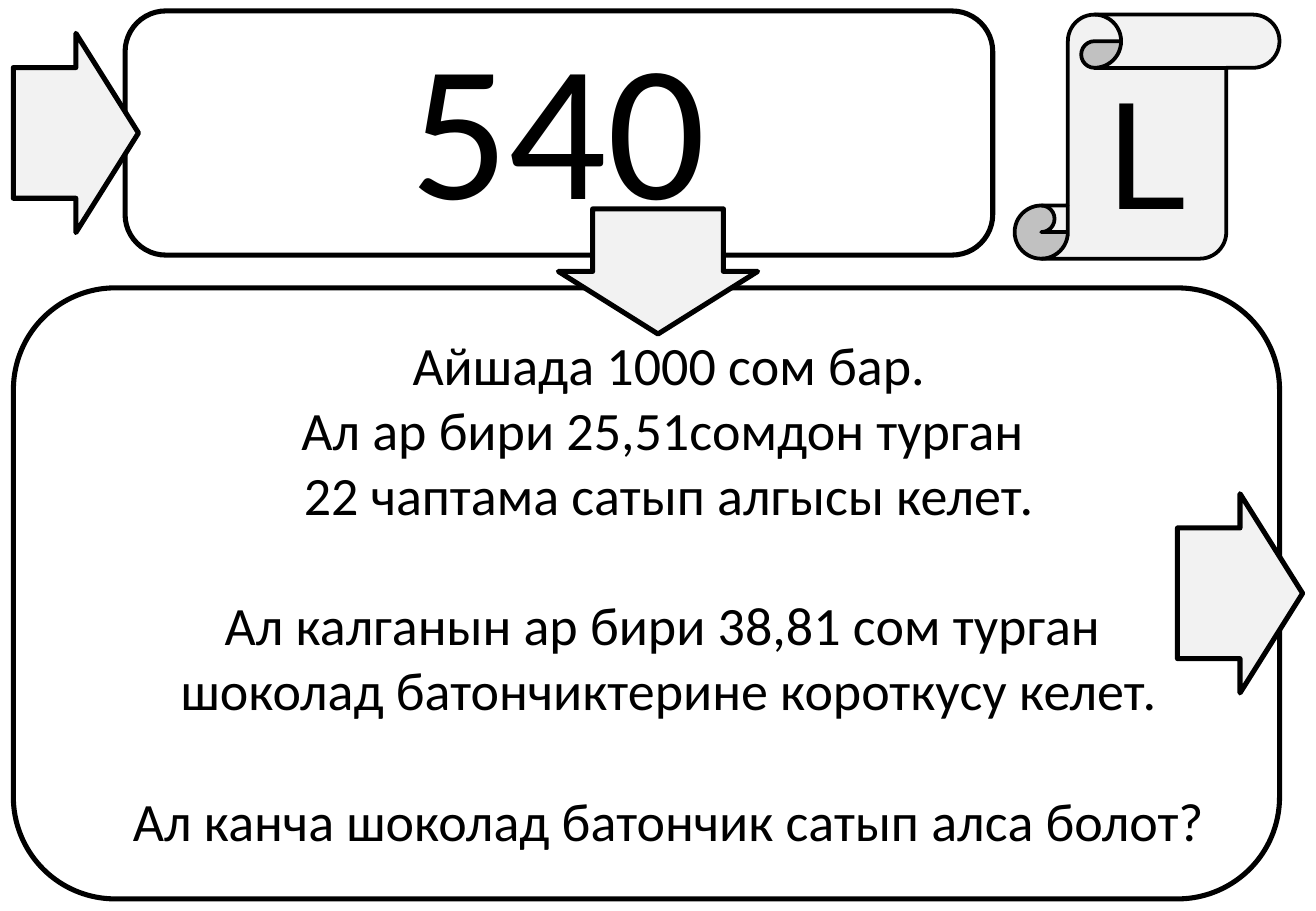
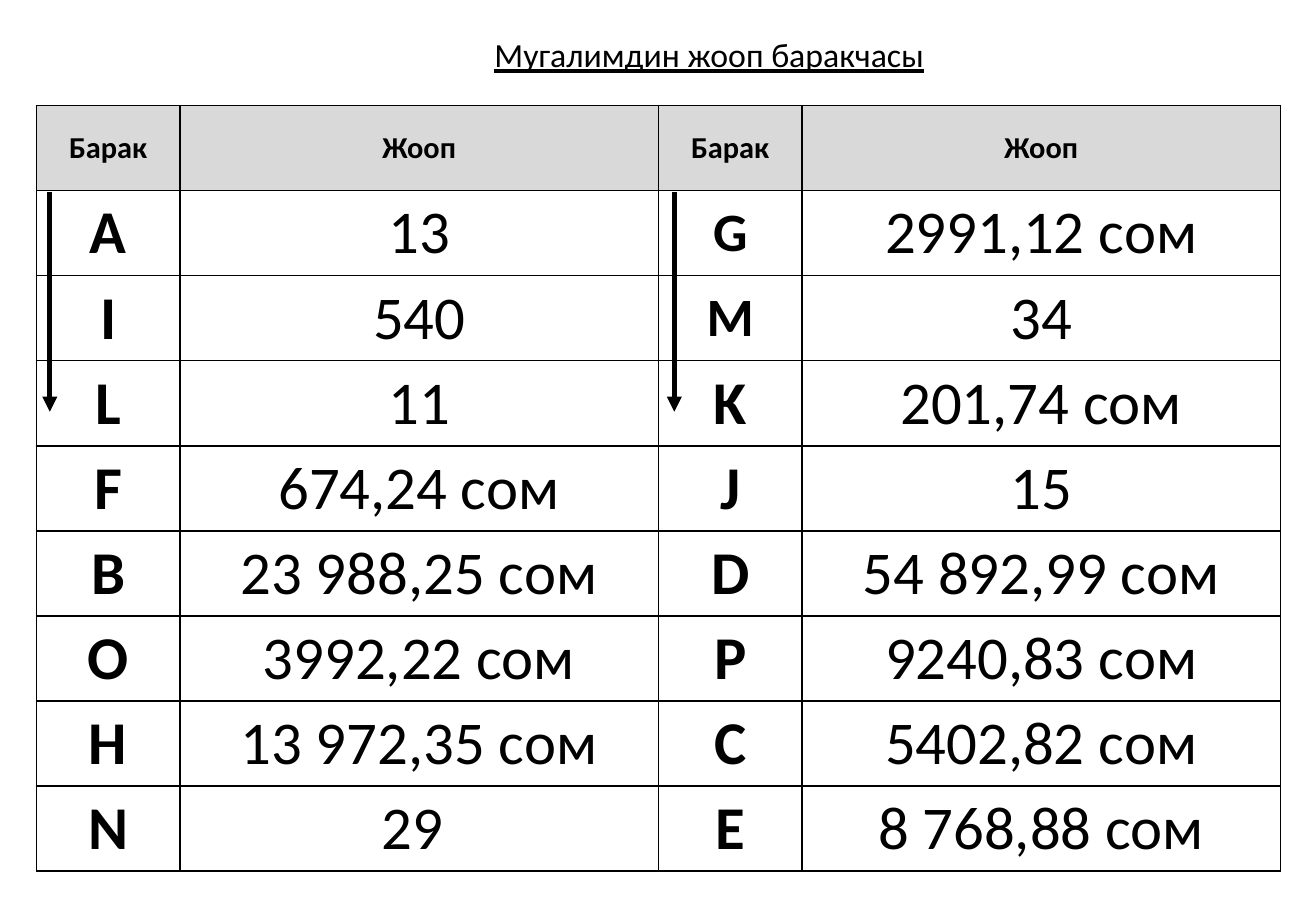
from dataclasses import dataclass

from lxml.etree import SubElement
from pptx import Presentation
from pptx.dml.color import RGBColor
from pptx.enum.shapes import MSO_CONNECTOR as Connector, MSO_SHAPE as Preset
from pptx.enum.text import MSO_ANCHOR as Anchor, MSO_AUTO_SIZE as AutoSize, PP_ALIGN as Align
from pptx.oxml.ns import qn
from pptx.util import Inches, Pt

COLORS = {"ink": "000000", "paper": "FFFFFF", "accent": "F2F2F2", "header": "D9D9D9"}
BODY_FONT = "Calibri"
SCROLL_FONT = "Roboto"
OUTLINE = 3
ARROW_SIZE = (9.51, 21.87)
COLUMN_SHARES = (11.52, 38.48, 11.52, 38.48)
PARAGRAPH_GAP = Pt(39)

QUESTION = [
    ("Айшада 1000 сом бар.", 0),
    ("Ал ар бири 25,51сомдон турган ", 0),
    ("22 чаптама сатып алгысы келет.", 0),
    ("Ал калганын ар бири 38,81 сом турган ", PARAGRAPH_GAP),
    ("шоколад батончиктерине короткусу келет.", 0),
    ("Ал канча шоколад батончик сатып алса болот?", PARAGRAPH_GAP),
]
ANSWERS = [
    ("Барак", "Жооп", "Барак", "Жооп"),
    ("A", "13", "G", "2991,12 сом"),
    ("I", "540", "M", "34"),
    ("L", "11", "K", "201,74 сом"),
    ("F", "674,24 сом", "J", "15"),
    ("B", "23 988,25 сом", "D", "54 892,99 сом"),
    ("O", "3992,22 сом", "P", "9240,83 сом"),
    ("H", "13 972,35 сом", "C", "5402,82 сом"),
    ("N", "29 ", "E", "8 768,88 сом"),
]


@dataclass
class Box:
    left: float
    top: float
    width: float
    height: float

    def area(self, left, top, width, height):
        return Box(
            self.left + self.width * left / 100,
            self.top + self.height * top / 100,
            self.width * width / 100,
            self.height * height / 100,
        )

    def point(self, across, down):
        spot = self.area(across, down, 0, 0)
        return spot.left, spot.top

    def emu(self):
        return [Inches(n) for n in (self.left, self.top, self.width, self.height)]


PAGE = Box(0, 0, 10.83, 7.5)


def apply(target, values):
    for name, value in values.items():
        setattr(target, name, value)


def rgb(name):
    return RGBColor.from_string(COLORS[name])


def write(paragraph, text, size, align=Align.CENTER, **extra):
    paragraph.alignment = align
    run = paragraph.add_run()
    run.text = text
    apply(run.font, {"name": BODY_FONT, "size": Pt(size), **extra})
    run.font.color.rgb = rgb("ink")


def draw_line(line, width=OUTLINE):
    line.color.rgb = rgb("ink")
    line.width = Pt(width)


def add_outline(slide, preset, box, fill=None, adjustments=(), width=OUTLINE):
    outline = slide.shapes.add_shape(preset, *box.emu())
    outline.shadow.inherit = False
    for index, value in enumerate(adjustments):
        outline.adjustments[index] = value
    if fill:
        outline.fill.solid()
        outline.fill.fore_color.rgb = rgb(fill)
    else:
        outline.fill.background()
    draw_line(outline.line, width)
    return outline


def add_text(slide, box, lines, size, **extra):
    frame = slide.shapes.add_textbox(*box.emu()).text_frame
    apply(frame, {"word_wrap": False, "auto_size": AutoSize.SHAPE_TO_FIT_TEXT})
    for index, (text, gap) in enumerate(lines):
        paragraph = frame.add_paragraph() if index else frame.paragraphs[0]
        if gap:
            paragraph.space_before = gap
        write(paragraph, text, size, **extra)


def add_block_arrow(slide, center, rotation=0):
    width, height = (PAGE.width * ARROW_SIZE[0] / 100, PAGE.height * ARROW_SIZE[1] / 100)
    box = Box(center[0] - width / 2, center[1] - height / 2, width, height)
    arrow = add_outline(slide, Preset.RIGHT_ARROW, box, "accent", (0.656, 0.5))
    arrow.rotation = rotation


def add_scroll(slide, box, letter):
    scroll = add_outline(slide, Preset.VERTICAL_SCROLL, box, "accent", (0.218,), 2.25)
    scroll.text_frame.vertical_anchor = Anchor.MIDDLE
    write(scroll.text_frame.paragraphs[0], letter, 88, name=SCROLL_FONT)


def build_task_slide(slide, page):
    question = page.area(1.02, 31.6, 96.21, 67.07)
    answer = page.area(9.51, 1.2, 65.93, 26.8)
    for card in (question, answer):
        add_outline(slide, Preset.ROUNDED_RECTANGLE, card)

    middle = page.point(50, 0)[0]
    entry = page.point(5.77, 0)[0]
    leave = page.point(94.23, 0)[0]
    between = (answer.top + answer.height + question.top) / 2
    add_block_arrow(slide, (leave, question.point(0, 50)[1]))
    add_block_arrow(slide, (middle, between), 90)
    add_block_arrow(slide, (entry, answer.point(0, 50)[1]))

    add_scroll(slide, page.area(77.1, 1.6, 20.13, 26.8), "L")
    add_text(slide, answer.area(31.37, -4.48, 37.11, 101.49), [("540", 0)], 115)
    add_text(slide, question.area(8.06, 6.16, 87.43, 87.67), QUESTION, 32)


def add_borders(cell):
    properties = cell._tc.get_or_add_tcPr()
    for side in ("lnL", "lnR", "lnT", "lnB"):
        border = SubElement(properties, qn(f"a:{side}"), w=str(Pt(1)))
        SubElement(SubElement(border, qn("a:solidFill")), qn("a:srgbClr"), val=COLORS["ink"])


def answer_size(row, column):
    if row == 0:
        return 18
    return 32 if column == 2 and row < 3 else 36


def add_answer_table(slide, box):
    table = slide.shapes.add_table(len(ANSWERS), len(COLUMN_SHARES), *box.emu()).table
    apply(table, {"first_row": False, "horz_banding": False})
    for column, share in zip(table.columns, COLUMN_SHARES):
        column.width = Inches(box.width * share / 100)
    for row, values in enumerate(ANSWERS):
        table.rows[row].height = Inches(box.height / len(ANSWERS))
        for column, text in enumerate(values):
            cell = table.cell(row, column)
            apply(cell, {"vertical_anchor": Anchor.MIDDLE, "margin_top": 0, "margin_bottom": 0})
            add_borders(cell)
            cell.fill.solid()
            cell.fill.fore_color.rgb = rgb("paper" if row else "header")
            bold = row == 0 or column % 2 == 0
            write(cell.text_frame.paragraphs[0], text, answer_size(row, column), bold=bold)


def add_order_arrow(slide, start, end):
    arrow = slide.shapes.add_connector(
        Connector.STRAIGHT, *[Inches(n) for n in (*start, *end)]
    )
    draw_line(arrow.line)
    SubElement(arrow.line._get_or_add_ln(), qn("a:tailEnd"), type="triangle")
    SubElement(arrow._element.spPr, qn("a:effectLst"))


def build_answer_slide(slide, page):
    answers = page.area(2.77, 11.6, 94.55, 84)
    add_answer_table(slide, answers)
    title = [("Мугалимдин жооп баракчасы", 0)]
    add_text(slide, page.area(36.66, 3.07, 34.72, 5.87), title, 20, align=Align.LEFT, underline=True)
    for across in (1.07, 51.27):
        add_order_arrow(slide, answers.point(across, 11.27), answers.point(across, 40))


def main():
    deck = Presentation()
    apply(deck, {"slide_width": Inches(PAGE.width), "slide_height": Inches(PAGE.height)})
    for build in (build_task_slide, build_answer_slide):
        build(deck.slides.add_slide(deck.slide_layouts[6]), PAGE)
    deck.save("out.pptx")


if __name__ == "__main__":
    main()
